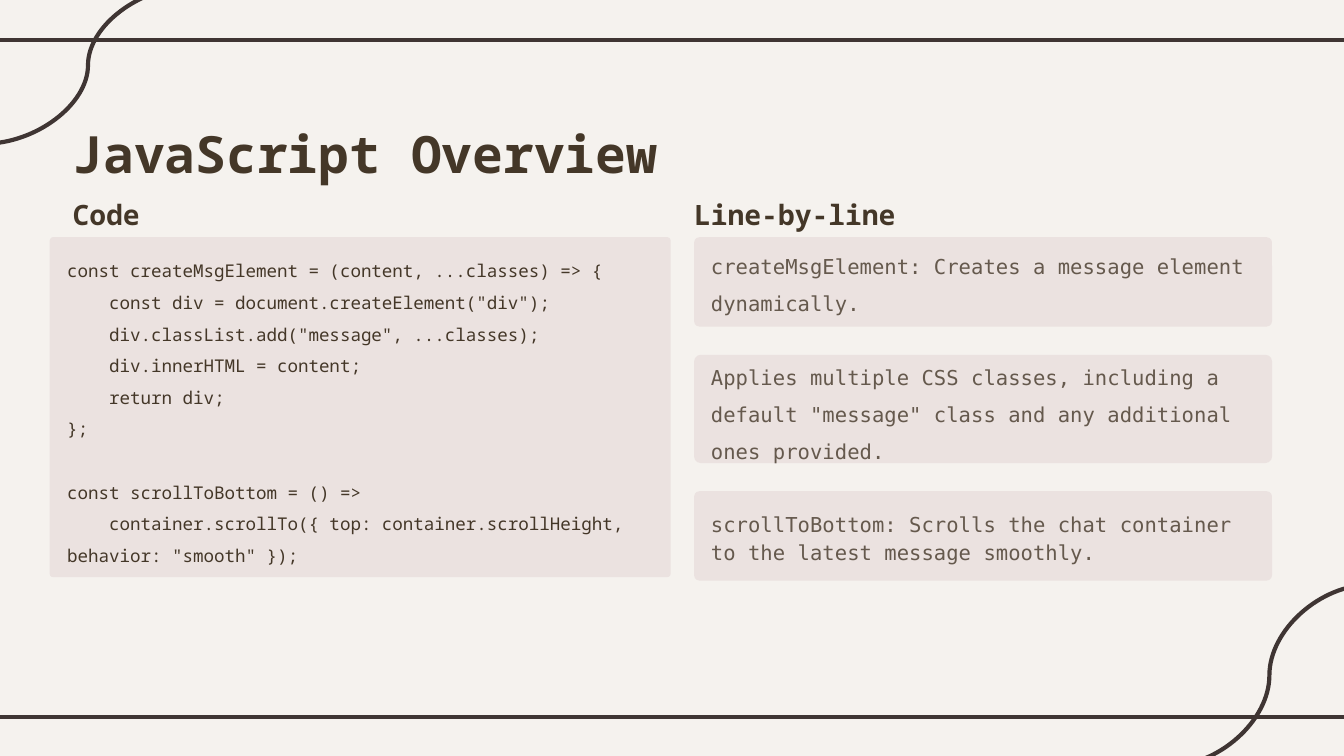
from collections import namedtuple
from lxml.etree import SubElement as Sub
from pptx import Presentation as Deck
from pptx.dml.color import RGBColor as Color
from pptx.enum.shapes import MSO_CONNECTOR as Link, MSO_SHAPE as Form
from pptx.enum.text import MSO_ANCHOR as Anchor
from pptx.oxml.ns import qn
from pptx.util import Inches, Pt

PAPER = Color(0xF5, 0xF2, 0xEE)
INK = Color(0x3F, 0x35, 0x33)
BROWN = Color(0x44, 0x37, 0x28)
TAUPE = Color(0x65, 0x59, 0x4D)
ROSE = Color(0xEB, 0xE2, 0xE0)

WIDE = Inches(10)
HIGH = WIDE * 9 // 16
COLS, ROWS = 100, 56.25
Box = namedtuple("Box", "x y w h")

TITLE = dict(name="Noto Sans Mono", size=Pt(27.5), bold=True, color=BROWN)
LABEL = TITLE | dict(size=Pt(15))
CODE = TITLE | dict(size=Pt(9.4), bold=False)
NOTE = dict(name="DejaVu Sans Mono", size=Pt(11), color=TAUPE)

BLOCKS = [
    [
        "const createMsgElement = (content, ...classes) => {",
        '    const div = document.createElement("div");',
        '    div.classList.add("message", ...classes);',
        "    div.innerHTML = content;",
        "    return div;",
        "};",
    ],
    [
        "const scrollToBottom = () =>",
        '    container.scrollTo({ top: container.scrollHeight, behavior: "smooth" });',
    ],
]
NOTES = [
    ("createMsgElement: Creates a message element dynamically.", 6.65, 0.65, 1.5),
    ('Applies multiple CSS classes, including a default "message" class '
     "and any additional ones provided.", 8.05, 1.6, 1.5),
    ("scrollToBottom: Scrolls the chat container to the latest message smoothly.",
     6.65, 0.95, 1.15),
]


def across(n):
    return round(WIDE * n / COLS)


def down(n):
    return round(HIGH * n / ROWS)


def place(box):
    return across(box.x), down(box.y), across(box.w), down(box.h)


def style(font, look):
    for key, value in look.items():
        if key == "color":
            font.color.rgb = value
        else:
            setattr(font, key, value)


def write(shapes, box, blocks, look, pitch, anchor=Anchor.TOP):
    frame = shapes.add_textbox(*place(box)).text_frame
    form = dict(margin_left=0, margin_right=0, margin_top=0, margin_bottom=0,
                word_wrap=True, vertical_anchor=anchor)
    for key, value in form.items():
        setattr(frame, key, value)
    for i, block in enumerate(blocks):
        for j, text in enumerate(block):
            para = frame.add_paragraph() if i or j else frame.paragraphs[0]
            para.line_spacing = pitch
            if i and not j:
                para.space_before = Pt(17)
            run = para.add_run()
            run.text = text
            style(run.font, look)


def card(shapes, box, curve):
    shape = shapes.add_shape(Form.ROUNDED_RECTANGLE, *place(box))
    shape.adjustments[0] = curve
    shape.shadow.inherit = False
    shape.fill.solid()
    shape.fill.fore_color.rgb = ROSE
    shape.line.fill.background()


def stroke(shapes, kind, start, end):
    line = shapes.add_connector(kind, across(start[0]), down(start[1]),
                                across(end[0]), down(end[1]))
    line.line.color.rgb = INK
    line.line.width = Pt(2.25)
    Sub(line._element.spPr, qn("a:effectLst"))


def border(shapes, box):
    left, right = box.x - 0.8, box.x + box.w + 0.8
    for y in (box.y + 3, box.y + box.h - 2.9):
        stroke(shapes, Link.STRAIGHT, (left, y), (right, y))
    stroke(shapes, Link.CURVE, (102, 43.5), (86.9, 57))
    stroke(shapes, Link.CURVE, (14.3, -1), (-1.2, 10.7))


def header(shapes, box):
    write(shapes, box, [["JavaScript Overview"]], TITLE, 1.71)


def listing(shapes, box):
    write(shapes, Box(box.x + 1.7, box.y, 16.5, 2.1), [["Code"]], LABEL, 1.57)
    panel = Box(box.x, box.y + 4.35, box.w, box.h - 4.35)
    card(shapes, panel, 0.01)
    write(shapes, Box(panel.x + 1.3, panel.y + 0.95, panel.w - 1.3, panel.h),
          BLOCKS, CODE, 1.5)


def details(shapes, box):
    write(shapes, Box(box.x, box.y, 17.4, 2.1), [["Line-by-line"]], LABEL, 1.57)
    top = box.y + 4.35
    for text, tall, drop, pitch in NOTES:
        card(shapes, Box(box.x, top, box.w, tall), 0.06)
        write(shapes, Box(box.x + 1.25, top + drop, box.w - 2.5, 4.8),
              [[text]], NOTE, pitch, Anchor.MIDDLE)
        top += tall + 2.1


def main():
    deck = Deck()
    deck.slide_width, deck.slide_height = WIDE, HIGH
    slide = deck.slides.add_slide(deck.slide_layouts[6])
    slide.background.fill.solid()
    slide.background.fill.fore_color.rgb = PAPER
    shapes = slide.shapes
    border(shapes, Box(0, 0, COLS, ROWS))
    header(shapes, Box(5.4, 5.85, 51.6, 4.1))
    listing(shapes, Box(3.7, 13.3, 46.2, 29.65))
    details(shapes, Box(51.65, 13.3, 43, 29.9))
    deck.save("out.pptx")


if __name__ == "__main__":
    main()
